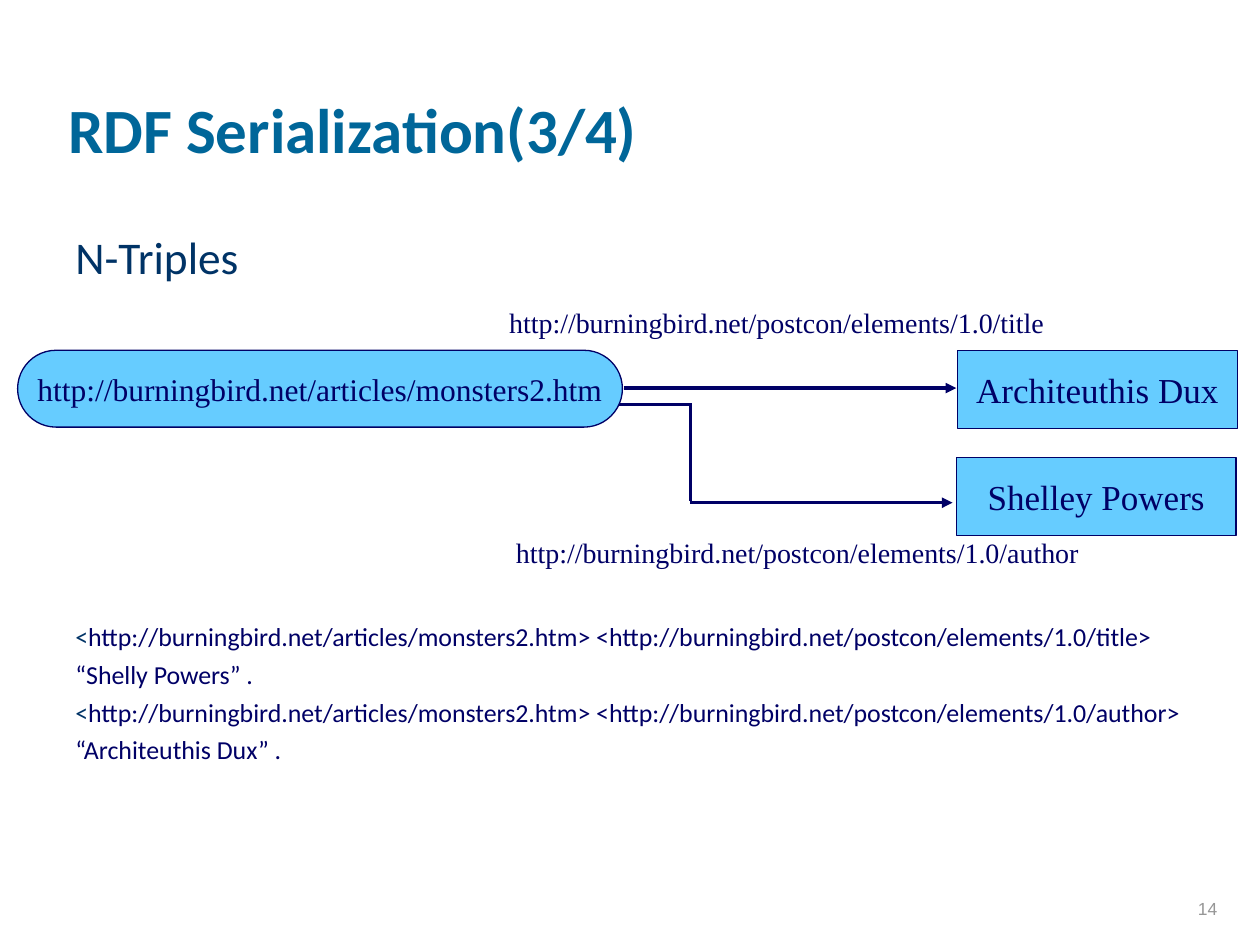
import pptx
import pptx.util
import pptx.dml.color
import pptx.enum.shapes
import pptx.enum.text
import pptx.oxml
import pptx.oxml.ns
from pptx.util import Inches

COLORS = {"title": "006699", "body": "003366", "ink": "000066",
          "node": "66CCFF", "bullet": "990000", "number": "969696"}
NS = pptx.oxml.ns.nsdecls("a")
ALIGN = pptx.enum.text.PP_ALIGN
ANCHOR = pptx.enum.text.MSO_ANCHOR
SHAPE = pptx.enum.shapes.MSO_SHAPE


def rgb(name):
    return pptx.dml.color.RGBColor.from_string(COLORS[name])


def write(shape, lines, size, font, color, align=ALIGN.LEFT,
          anchor=ANCHOR.TOP, wrap=True, bold=False):
    """Fill a shape with one paragraph per line, all in one style."""
    frame = shape.text_frame
    frame.text = "\n".join(lines)
    frame.word_wrap = wrap
    frame.vertical_anchor = anchor
    for paragraph in frame.paragraphs:
        paragraph.alignment = align
        for run in paragraph.runs:
            run.font.size = pptx.util.Pt(size)
            run.font.name = font
            run.font.bold = bold
            run.font.color.rgb = rgb(color)


deck = pptx.Presentation()
deck.slide_width, deck.slide_height = Inches(10), Inches(7.5)
slide = deck.slides.add_slide(deck.slide_layouts[5])
shapes = slide.shapes

title = shapes.title
title.left, title.top = Inches(0.44), Inches(0.12)
title.width, title.height = Inches(8.5), Inches(1.25)
write(title, ["RDF Serialization(3/4)"], 36, "Calibri", "title",
      anchor=ANCHOR.BOTTOM, bold=True)

# Bulleted heading
heading = shapes.add_textbox(Inches(0.5), Inches(1.77), Inches(9.5), Inches(0.55))
heading_props = heading.text_frame.paragraphs[0]._p.get_or_add_pPr()
heading_props.set("marL", str(Inches(0.38)))
heading_props.set("indent", str(-Inches(0.38)))
for bullet_xml in (
        f'<a:buClr {NS}><a:srgbClr val="{COLORS["bullet"]}"/></a:buClr>',
        f'<a:buChar {NS} char="▪"/>'):
    heading_props.append(pptx.oxml.parse_xml(bullet_xml))
write(heading, ["N-Triples"], 25.9, "Calibri", "body")

# Graph nodes: subject and its two objects
nodes = [
    (SHAPE.ROUNDED_RECTANGLE, 0.14, 2.78, 4.8, 0.61, 18,
     "http://burningbird.net/articles/monsters2.htm"),
    (SHAPE.RECTANGLE, 7.6, 2.78, 2.22, 0.62, 20, "Architeuthis Dux"),
    (SHAPE.RECTANGLE, 7.59, 3.63, 2.22, 0.62, 20, "Shelley Powers"),
]
for kind, left, top, width, height, size, label in nodes:
    node = shapes.add_shape(kind, Inches(left), Inches(top),
                            Inches(width), Inches(height))
    if kind == SHAPE.ROUNDED_RECTANGLE:
        node.adjustments[0] = 0.5
    node.shadow.inherit = False
    node.fill.solid()
    node.fill.fore_color.rgb = rgb("node")
    node.line.color.rgb = rgb("ink")
    node.line.width = pptx.util.Pt(0.75)
    write(node, [label], size, "Times New Roman", "ink", ALIGN.CENTER,
          ANCHOR.MIDDLE, wrap=False)

# Predicate edges: a straight arrow and a stepped one
edges = [
    (4.95, 3.08, 7.59, 3.08, True),
    (4.91, 3.21, 5.49, 3.21, False),
    (5.48, 3.21, 5.48, 3.98, False),
    (5.48, 3.99, 7.56, 3.99, True),
]
for x1, y1, x2, y2, has_arrow in edges:
    edge = shapes.add_connector(pptx.enum.shapes.MSO_CONNECTOR.STRAIGHT,
                                Inches(x1), Inches(y1), Inches(x2), Inches(y2))
    edge.line.color.rgb = rgb("ink")
    edge.line.width = pptx.util.Pt(2)
    if has_arrow:
        edge.line._get_or_add_ln().append(
            pptx.oxml.parse_xml(f'<a:tailEnd {NS} type="triangle"/>'))
    edge._element.spPr.append(pptx.oxml.parse_xml(f"<a:effectLst {NS}/>"))

# Predicate labels
for left, top, width, predicate in [(3.94, 2.38, 4.45, "title"),
                                    (3.98, 4.2, 4.7, "author")]:
    label = shapes.add_textbox(Inches(left), Inches(top),
                               Inches(width), Inches(0.37))
    write(label, [f"http://burningbird.net/postcon/elements/1.0/{predicate}"],
          16, "Times New Roman", "ink", ALIGN.CENTER, wrap=False)

# The same graph as N-Triples statements
statements = []
for predicate, value in [("title", "Shelly Powers"), ("author", "Architeuthis Dux")]:
    statements += [
        "<http://burningbird.net/articles/monsters2.htm> "
        f"<http://burningbird.net/postcon/elements/1.0/{predicate}>",
        f"“{value}” .",
    ]
triples = shapes.add_textbox(Inches(0.5), Inches(4.88), Inches(9.5), Inches(1.35))
write(triples, statements, 14.8, "Calibri", "ink")
for paragraph in triples.text_frame.paragraphs[1:]:
    paragraph.space_before = pptx.util.Pt(3.7)
for paragraph in triples.text_frame.paragraphs[::2]:
    statement = paragraph.runs[0]
    statement.text = statement.text[1:]
    bracket = paragraph.add_run()
    bracket.text = "<"
    bracket.font.size = pptx.util.Pt(14.8)
    bracket.font.name = "Calibri"
    bracket.font.color.rgb = rgb("body")
    statement._r.addprevious(bracket._r)

page_number = shapes.add_textbox(Inches(7.68), Inches(6.84), Inches(2.08), Inches(0.5))
write(page_number, ["14"], 10, "Arial", "number", ALIGN.RIGHT, ANCHOR.BOTTOM)

deck.save("out.pptx")
